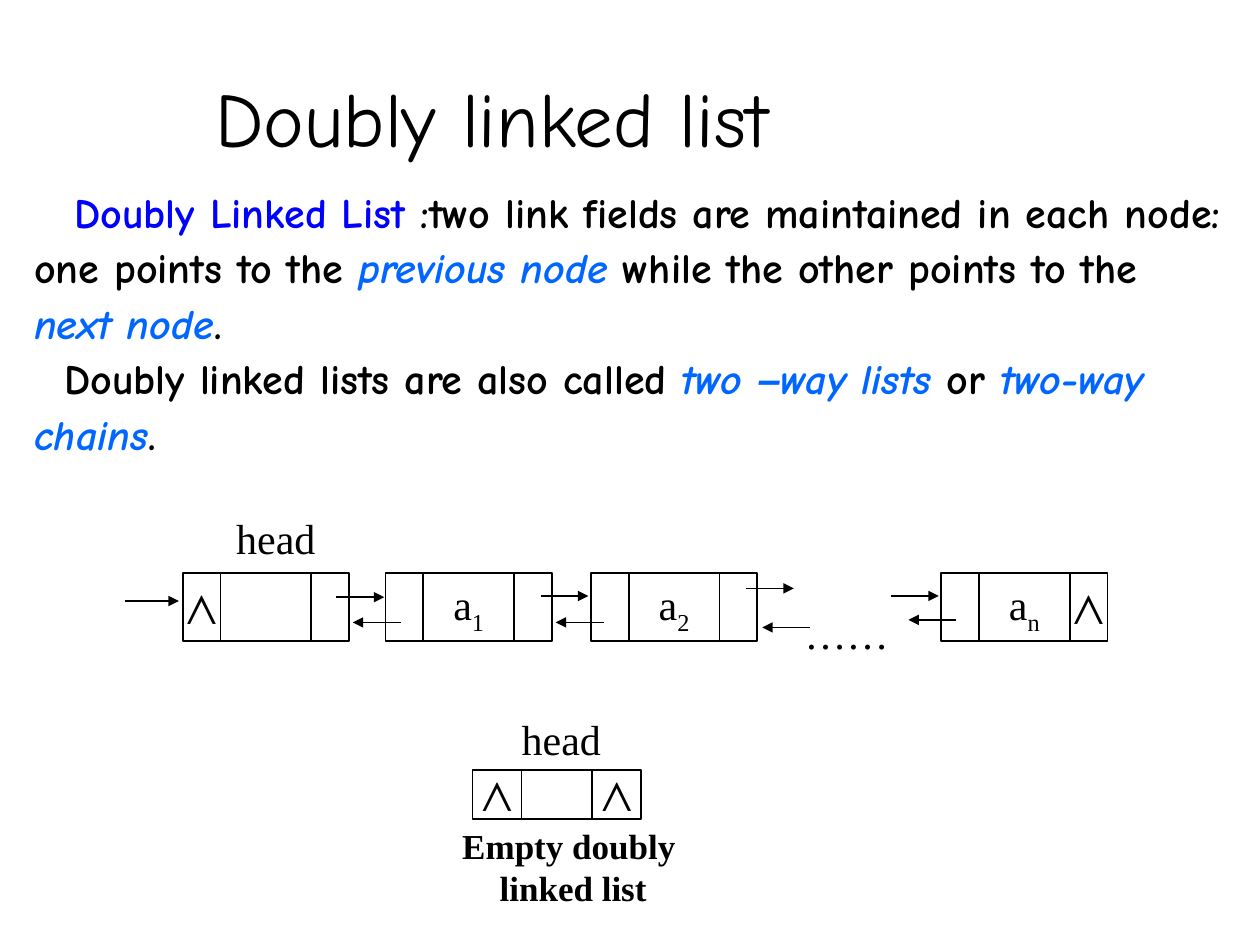
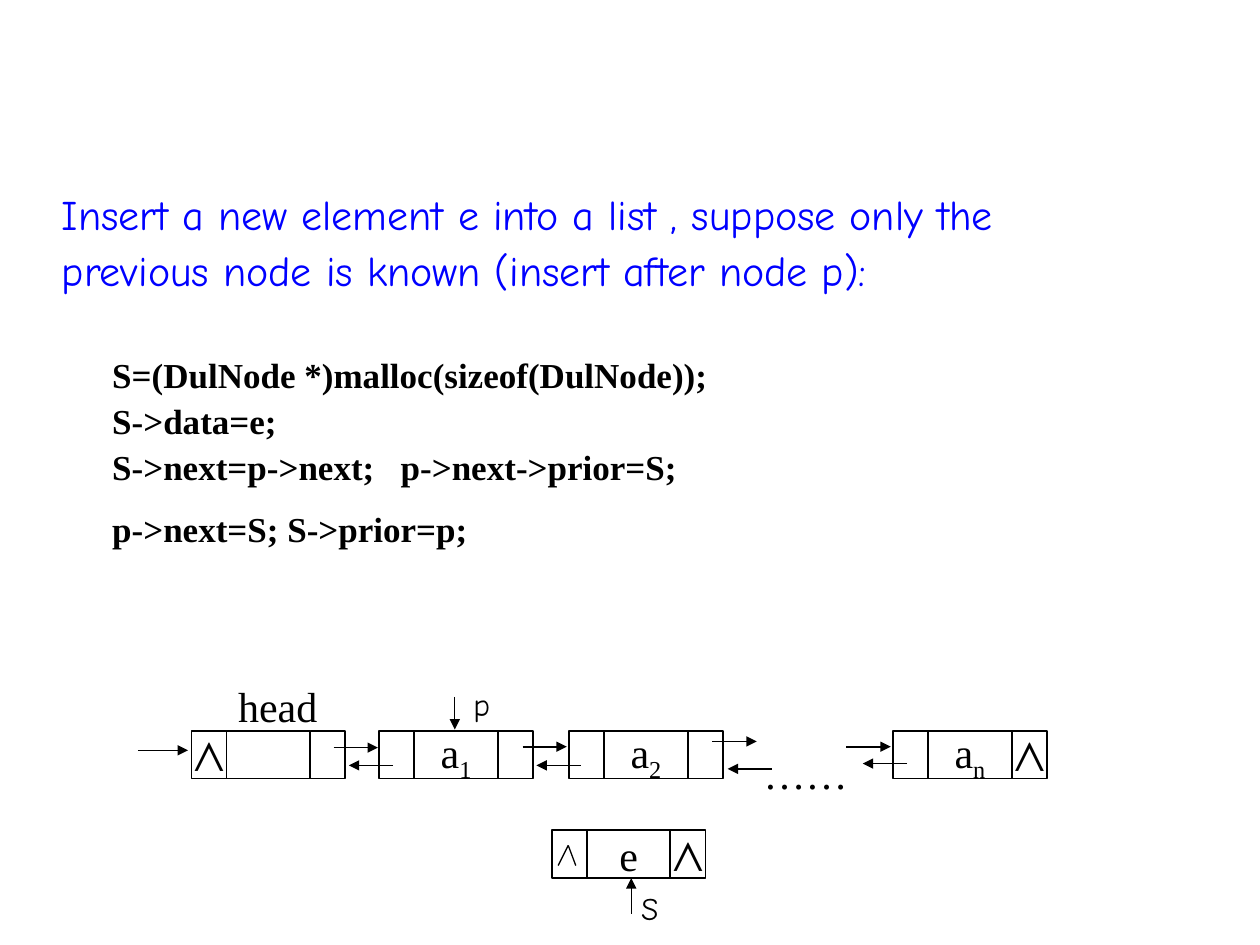
from collections import namedtuple
from dataclasses import dataclass

from lxml.etree import SubElement
from pptx import Presentation
from pptx.dml.color import RGBColor as Rgb
from pptx.enum.shapes import MSO_CONNECTOR as Conn, MSO_SHAPE as Shape
from pptx.enum.text import MSO_ANCHOR as Anchor, MSO_AUTO_SIZE as Fit, PP_ALIGN as Align
from pptx.oxml.ns import qn
from pptx.util import Inches, Pt


@dataclass(frozen=True)
class Theme:
    hand: str = "Comic Neue"
    serif: str = "Times New Roman"
    sans: str = "Arial"
    black: str = "000000"
    blue: str = "0000FF"
    sky: str = "0066FF"
    title: int = 44
    text: int = 24
    code: int = 20
    tag: int = 18
    line: float = 1
    thin: float = 0.75
    lead: float = 1.1


T = Theme()
Box = namedtuple("Box", "x y w h")
NIL = "⋀"


def add_run(para, text, size=T.text, face=T.serif, color=T.black,
            bold=False, slant=False, base=0):
    run = para.add_run()
    run.text = text
    font = run.font
    font.size, font.name = Pt(size), face
    font.bold, font.italic = bold, slant
    font.color.rgb = Rgb.from_string(color)
    if base:
        run._r.get_or_add_rPr().set("baseline", str(base * 1000))


def set_para(para, left=0, first=0, before=0, level=0):
    """Drop the bullet and set indents and spacing."""
    props = para._p.get_or_add_pPr()
    props.set("marL", str(Inches(left)))
    props.set("indent", str(Inches(first)))
    SubElement(props, qn("a:buNone"))
    para.level = level
    para.alignment = Align.LEFT
    para.line_spacing = T.lead
    para.space_before = Pt(before)


def place(shape, box):
    shape.left, shape.top, shape.width, shape.height = map(Inches, box)


def add_paras(frame, count):
    """Return the first paragraph and enough new ones to make count."""
    return [frame.paragraphs[0]] + [frame.add_paragraph() for _ in range(count - 1)]


def fill_title(slide, box, text):
    title = slide.shapes.title
    place(title, box)
    frame = title.text_frame
    frame.vertical_anchor = Anchor.BOTTOM
    frame.auto_size = Fit.NONE
    para = frame.paragraphs[0]
    para.alignment = Align.LEFT
    add_run(para, text, T.title, T.hand)


def fill_body(slide, box, paras):
    """Fill the body from pairs of paragraph settings and runs."""
    body = slide.placeholders[1]
    place(body, box)
    frame = body.text_frame
    frame.word_wrap = True
    frame.auto_size = Fit.NONE
    frame.vertical_anchor = Anchor.TOP
    frame.margin_right = Inches(0.05)
    for para, (setup, runs) in zip(add_paras(frame, len(paras)), paras):
        set_para(para, **setup)
        for text, style in runs:
            add_run(para, text, **style)


def center(frame, rows, **style):
    """Centre rows of (text, baseline) runs in a frame that does not wrap."""
    frame.word_wrap = False
    frame.vertical_anchor = Anchor.MIDDLE
    frame.margin_left = frame.margin_right = 0
    frame.margin_top = frame.margin_bottom = 0
    for para, row in zip(add_paras(frame, len(rows)), rows):
        para.alignment = Align.CENTER
        for text, base in row:
            add_run(para, text, base=base, **style)


def add_label(slide, box, *lines, **style):
    label = slide.shapes.add_textbox(*map(Inches, box))
    center(label.text_frame, [[(line, 0)] for line in lines], **style)


def add_tag(slide, box, text):
    frame = slide.shapes.add_textbox(*map(Inches, box)).text_frame
    frame.word_wrap = True
    add_run(frame.paragraphs[0], text, T.tag, T.hand)


def add_line(slide, start, end, width=T.line, head=True):
    line = slide.shapes.add_connector(Conn.STRAIGHT, *map(Inches, (*start, *end)))
    line.line.color.rgb = Rgb.from_string(T.black)
    line.line.width = Pt(width)
    if head:
        SubElement(line.line._get_or_add_ln(), qn("a:tailEnd"), type="triangle")
    SubElement(line._element.spPr, qn("a:effectLst"))


def add_cell(slide, box, runs):
    cell = slide.shapes.add_shape(Shape.RECTANGLE, *map(Inches, box))
    cell.shadow.inherit = False
    cell.fill.background()
    cell.line.color.rgb = Rgb.from_string(T.black)
    cell.line.width = Pt(T.line)
    if runs:
        center(cell.text_frame, [runs])


def add_node(slide, box, link, prior="", data="", sub="", after=""):
    """Draw prior link, data and next link; link is the width of a link cell."""
    mid = box.w - 2 * link
    runs = [(text, base) for text, base in ((data, 0), (sub, -25)) if text]
    add_cell(slide, Box(box.x, box.y, link, box.h), [(prior, 0)] if prior else [])
    add_cell(slide, Box(box.x + link, box.y, mid, box.h), runs)
    add_cell(slide, Box(box.x + link + mid, box.y, link, box.h),
             [(after, 0)] if after else [])


def add_chain(slide, box):
    """Draw the linked list, scaled from a 7.33 by 0.54 grid to the box."""
    sx, sy = box.w / 7.33, box.h / 0.54

    def at(x, y):
        return box.x + x * sx, box.y + y * sy

    def area(x, y, w, h):
        return Box(*at(x, y), w * sx, h * sy)

    nodes = (
        (0, dict(prior=NIL)),
        (1.61, dict(data="a", sub="1")),
        (3.24, dict(data="a", sub="2")),
        (6.02, dict(data="a", sub="n", after=NIL)),
    )
    for x, parts in nodes:
        add_node(slide, area(x, 0, 1.32, 0.54), 0.3 * sx, **parts)
    add_label(slide, area(0.36, -0.55, 0.76, 0.54), "head")
    add_label(slide, area(4.77, 0.28, 1, 0.39), "……")

    step = 0.38
    for x, y in ((1.22, 0.19), (2.84, 0.18), (4.47, 0.12), (5.62, 0.18)):
        add_line(slide, at(x, y), at(x + step, y))
    for x, y in ((1.73, 0.39), (3.34, 0.39), (4.98, 0.43), (6.14, 0.37)):
        add_line(slide, at(x, y), at(x - step, y))
    add_line(slide, at(-0.46, 0.22), at(-0.03, 0.22), T.thin)


def add_empty(slide, box):
    add_node(slide, box, 0.39, prior=NIL, after=NIL)
    add_label(slide, Box(box.x + 0.33, box.y - 0.44, 0.75, 0.39), "head")
    add_label(slide, Box(box.x - 0.2, box.y + 0.57, 2, 0.39),
              "Empty doubly ", "linked list", size=T.code, bold=True)


def add_fresh(slide, box):
    """Draw the new node e with its pointer S."""
    add_node(slide, box, 0.28, data="e", after=NIL)
    peak = box.x + 0.13, box.y + 0.12
    for x in (0.05, 0.19):
        add_line(slide, peak, (box.x + x, box.y + 0.28), T.thin, head=False)
    stem = box.x + 0.63
    add_line(slide, (stem, box.y + 0.66), (stem, box.y + box.h), T.thin)
    add_tag(slide, Box(stem - 0.02, box.y + 0.42, 1, 0.29), "S")


def add_mark(slide, box):
    """Point p at the node under the box."""
    add_line(slide, (box.x, box.y), (box.x, box.y + box.h), T.thin)
    add_tag(slide, Box(box.x + 0.05, box.y - 0.14, 1, 0.29), "p")


def about_slide(slide):
    plain = dict(face=T.hand, bold=True)
    term = dict(plain, color=T.blue)
    key = dict(plain, color=T.sky, slant=True)
    fill_title(slide, Box(1.61, 0.42, 6.62, 0.92), "Doubly linked list")
    fill_body(slide, Box(0.17, 1.39, 9.64, 5.51), [
        (dict(first=0.32), [
            ("Doubly Linked List", term),
            (" :two link fields are maintained in each node: one points to the ", plain),
            ("previous node", key),
            (" while the other points to the ", plain),
            ("next node", key),
            (".", plain),
        ]),
        (dict(first=0.24), [
            ("Doubly linked lists are also called ", plain),
            ("two ", key),
            ("–", dict(key, face=T.sans)),
            ("way lists", key),
            (" or ", plain),
            ("two-way chains", key),
            (".", plain),
        ]),
    ])
    add_chain(slide, Box(1.45, 4.55, 7.33, 0.54))
    add_empty(slide, Box(3.75, 6.11, 1.34, 0.39))


def insert_slide(slide):
    title = slide.shapes.title._element
    title.getparent().remove(title)
    lead = dict(face=T.hand, color=T.blue)
    code = dict(size=T.code, bold=True)
    intro = ("Insert a new element e into a list , suppose only the",
             "previous node is known (insert after node p):")
    steps = (("S=(DulNode *)malloc(sizeof(DulNode));", 31),
             ("S->data=e;", 0),
             ("S->next=p->next;   p->next->prior=S;", 0),
             ("p->next=S; S->prior=p;", 9))
    paras = [(dict(left=0.39, level=1), [(text, lead)]) for text in intro]
    paras += [(dict(left=0.79, level=2, before=gap), [(text, code)])
              for text, gap in steps]
    fill_body(slide, Box(0, 1.41, 9.64, 5.69), paras)
    add_chain(slide, Box(1.52, 5.8, 6.78, 0.38))
    add_mark(slide, Box(3.61, 5.53, 0, 0.26))
    add_fresh(slide, Box(4.38, 6.59, 1.22, 0.38))


def main():
    deck = Presentation()
    deck.slide_width, deck.slide_height = Inches(10), Inches(7.5)
    for build in (about_slide, insert_slide):
        build(deck.slides.add_slide(deck.slide_layouts[1]))
    deck.save("out.pptx")


if __name__ == "__main__":
    main()
